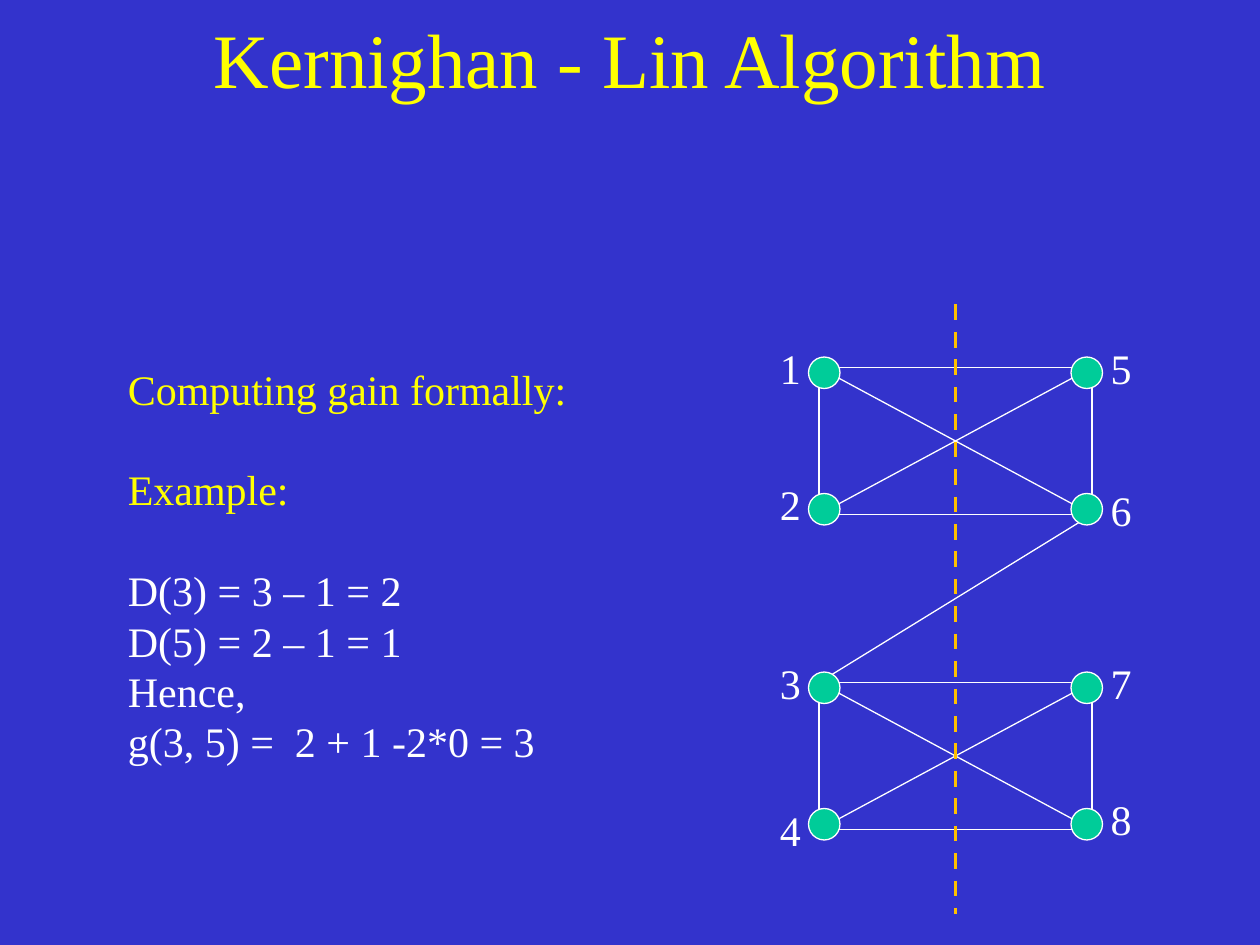
from dataclasses import dataclass
from itertools import product

from lxml import etree
from pptx import Presentation
from pptx.dml.color import RGBColor as RGB
from pptx.enum.dml import MSO_LINE as Dash
from pptx.enum.shapes import MSO_CONNECTOR as Wire, MSO_SHAPE as Form
from pptx.enum.text import MSO_ANCHOR as Anchor, MSO_AUTO_SIZE as Fit, PP_ALIGN as Align
from pptx.oxml.ns import qn
from pptx.util import Pt


@dataclass(frozen=True)
class Theme:
    back: RGB = RGB(0x33, 0x33, 0xCC)
    head: RGB = RGB(0xFF, 0xFF, 0x00)
    text: RGB = RGB(0xFF, 0xFF, 0xFF)
    node: RGB = RGB(0x00, 0xCC, 0x99)
    cut: RGB = RGB(0xFF, 0xC0, 0x00)
    font: str = "Times New Roman"
    big: int = 44
    body: int = 24
    lead: float = 28.8


theme = Theme()


def write(para, text, size=theme.body, color=theme.text, align=Align.LEFT, gap=0, lead=None):
    para.text = text
    para.alignment = align
    para.space_before = Pt(gap)
    if lead:
        para.line_spacing = Pt(lead)
    para.font.name = theme.font
    para.font.size = Pt(size)
    para.font.color.rgb = color


def draw(shapes, start, end, color=theme.text, width=0.75):
    """Add a straight line without a shadow."""
    wire = shapes.add_connector(Wire.STRAIGHT, *map(Pt, start + end))
    wire.line.color.rgb = color
    wire.line.width = Pt(width)
    etree.SubElement(wire._element.spPr, qn("a:effectLst"))
    return wire


deck = Presentation()
deck.slide_width, deck.slide_height = Pt(720), Pt(540)
slide = deck.slides.add_slide(deck.slide_layouts[5])
slide.background.fill.solid()
slide.background.fill.fore_color.rgb = theme.back

# Title
title = slide.shapes.title
title.left, title.top, title.width, title.height = map(Pt, (0, 0, 720, 66))
frame = title.text_frame
frame.auto_size = Fit.NONE
frame.vertical_anchor = Anchor.MIDDLE
write(frame.paragraphs[0], "Kernighan - Lin Algorithm", size=theme.big,
      color=theme.head, align=Align.CENTER)

# Worked example: text, colour, space before
lines = [
    ("Computing gain formally:", theme.head, 0),
    ("Example:", theme.head, theme.lead),
    ("D(3) = 3 – 1 = 2", theme.text, theme.lead),
    ("D(5) = 2 – 1 = 1", theme.text, 0),
    ("Hence,", theme.text, 0),
    ("g(3, 5) =  2 + 1 -2*0 = 3", theme.text, 0),
]
frame = slide.shapes.add_textbox(Pt(66), Pt(204), Pt(288), Pt(237.6)).text_frame
frame.word_wrap = True
for i, (text, color, gap) in enumerate(lines):
    para = frame.add_paragraph() if i else frame.paragraphs[0]
    write(para, text, color=color, gap=gap, lead=theme.lead)

# Graph: two squares with diagonals, joined by one edge
graph = slide.shapes.add_group_shape().shapes
left, right, high = 468, 624, 84
tops = (210, 390)
for top in tops:
    box = graph.add_shape(Form.RECTANGLE, Pt(left), Pt(top), Pt(right - left), Pt(high))
    box.shadow.inherit = False
    box.fill.background()
    box.line.color.rgb = theme.text
    box.line.width = Pt(0.75)
for (a, b), top in product(((left, right), (right, left)), tops):
    draw(graph, (a, top), (b, top + high))
draw(graph, (right, tops[0] + high), (left, tops[1]))

for y, x in product((204, 282, 384, 462), (462, 612)):
    node = graph.add_shape(Form.OVAL, Pt(x), Pt(y), Pt(18), Pt(18))
    node.shadow.inherit = False
    node.fill.solid()
    node.fill.fore_color.rgb = theme.node
    node.line.color.rgb = theme.text
    node.line.width = Pt(0.75)

# Node numbers, counted down each column
spots = [(438.5, y) for y in (192, 270, 372, 456)]
spots += [(627.5, y) for y in (192, 273, 372, 450)]
for num, (x, y) in enumerate(spots, 1):
    frame = graph.add_textbox(Pt(x), Pt(y), Pt(26), Pt(36)).text_frame
    frame.word_wrap = False
    frame.auto_size = Fit.SHAPE_TO_FIT_TEXT
    frame.vertical_anchor = Anchor.MIDDLE
    write(frame.paragraphs[0], str(num))

# Partition
mid = (left + right) / 2
cut = draw(slide.shapes, (mid, 174), (mid, 522), color=theme.cut, width=2.25)
cut.line.dash_style = Dash.DASH

deck.save("out.pptx")
